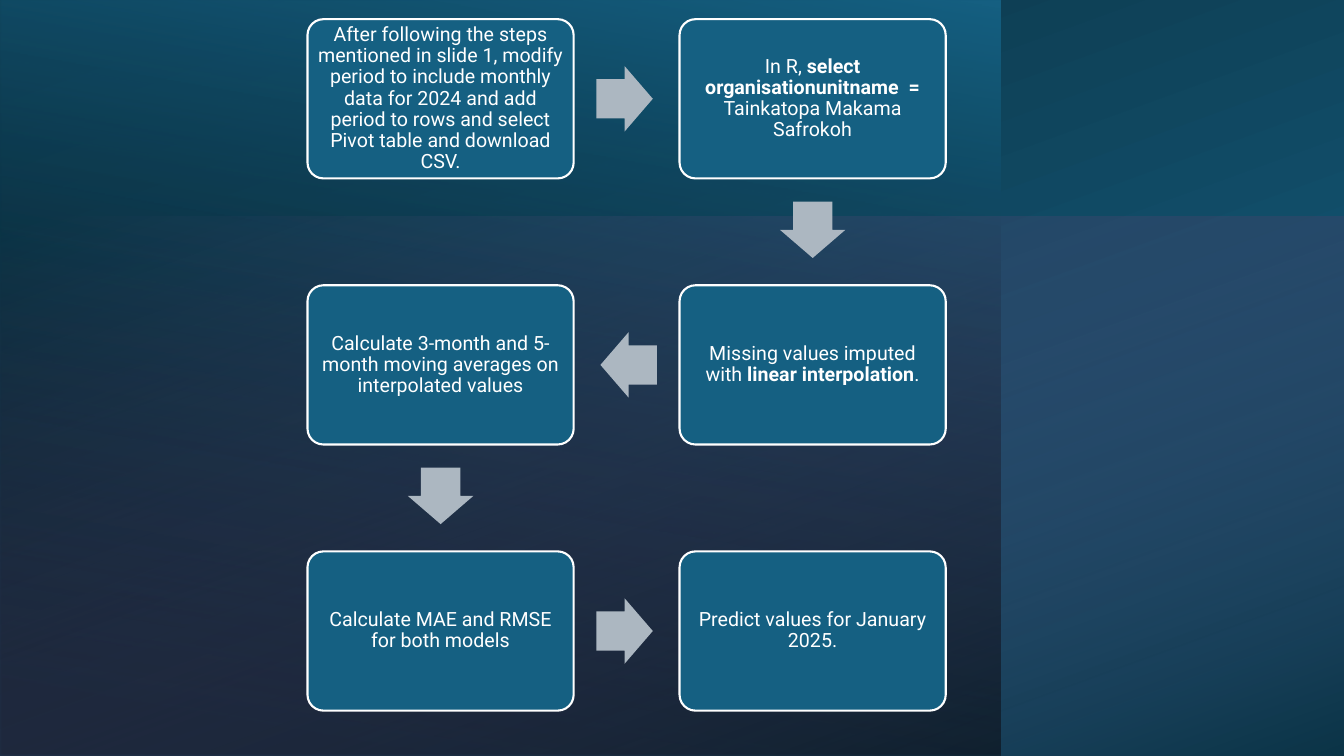
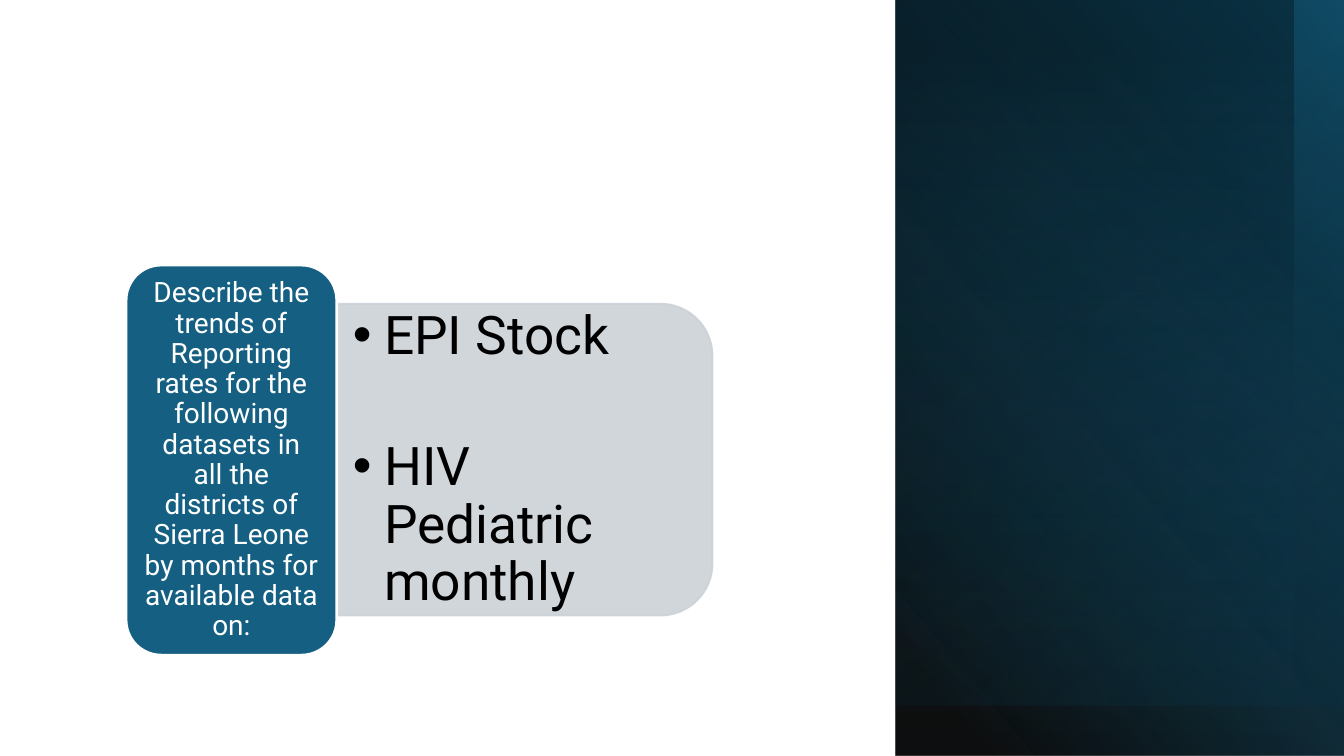
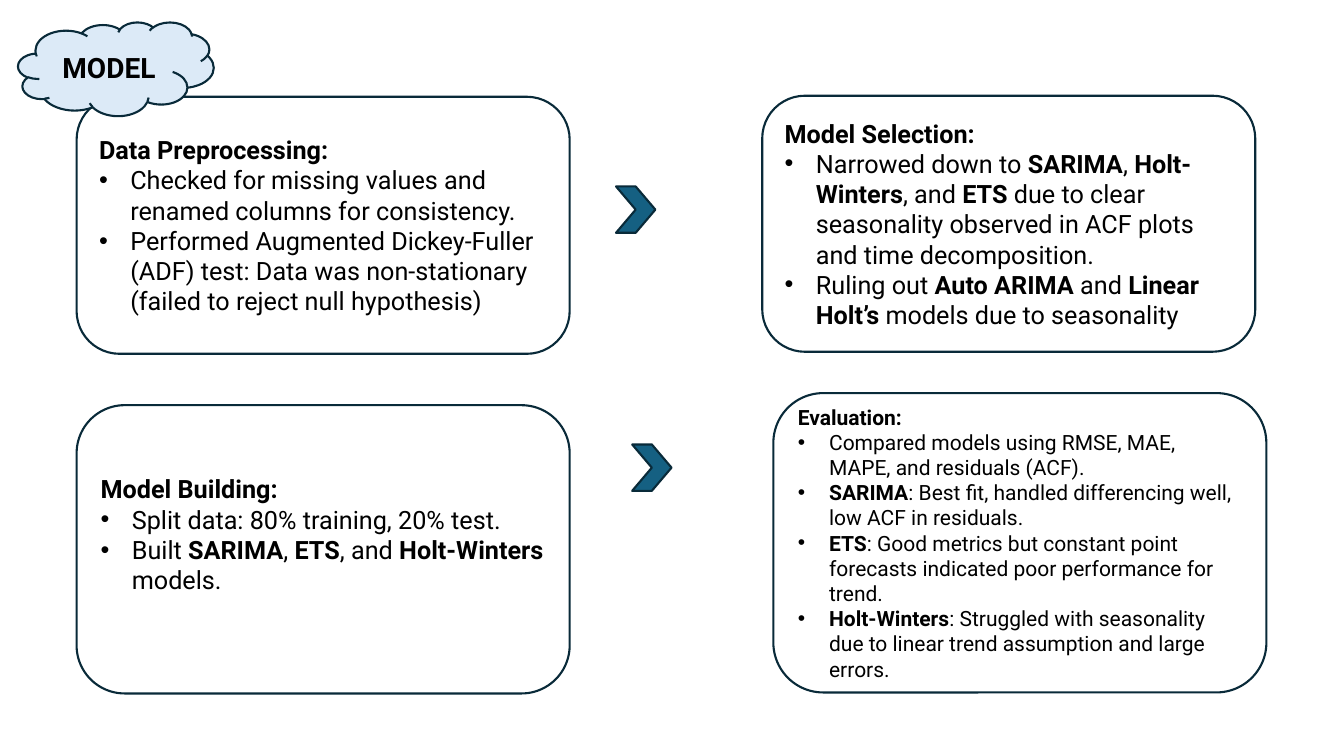
import math
from dataclasses import dataclass

import pptx
import pptx.dml.color
import pptx.enum.shapes
import pptx.enum.text
import pptx.oxml.ns
import pptx.util
from lxml import etree

RGBColor = pptx.dml.color.RGBColor
SHAPE = pptx.enum.shapes.MSO_SHAPE
ALIGN = pptx.enum.text.PP_ALIGN
Inches, Pt, qn = pptx.util.Inches, pptx.util.Pt, pptx.oxml.ns.qn

# Shared look
W, H = 13.33, 7.5
FONT = "Roboto"
NO_BREAK_SPACE = chr(160)
BLUE = RGBColor(0x15, 0x60, 0x82)
DEEP = RGBColor(0x0B, 0x30, 0x41)
NAVY = RGBColor(0x09, 0x2A, 0x39)
ORCHID = RGBColor(0xD8, 0x6E, 0xCC)
ARROW_GREY = RGBColor(0xAC, 0xB7, 0xC1)
PANEL_GREY = RGBColor(0xCC, 0xD2, 0xD8)
CLOUD_BLUE = RGBColor(0xDC, 0xEA, 0xF7)
WHITE = RGBColor(0xFF, 0xFF, 0xFF)
BLACK = RGBColor(0, 0, 0)


@dataclass
class Box:
    left: float
    top: float
    width: float
    height: float


@dataclass
class Stop:
    pos: int
    color: RGBColor
    alpha: int = 100


@dataclass
class Wash:
    """A background gradient, placed before it is turned and mirrored."""
    box: Box
    rotation: int
    angle: int
    stops: tuple[Stop, Stop]


@dataclass
class Card:
    box: Box
    heading: str
    bullets: tuple[str, ...]
    size: int = 18
    bottom: float = 0.05


def add_alpha(color_element, percent: int) -> None:
    etree.SubElement(color_element, qn("a:alpha")).set("val", str(percent * 1000))


def add_shape(s, kind, box: Box, fill=None, line=None, weight=1.5, rotation=0, adj=()):
    sp = s.shapes.add_shape(kind, *map(Inches, (box.left, box.top, box.width, box.height)))
    sp.shadow.inherit = False
    sp.rotation = rotation
    for i, value in enumerate(adj):
        sp.adjustments[i] = value
    if fill is not None:
        sp.fill.solid()
        sp.fill.fore_color.rgb = fill
    if line is None:
        sp.line.fill.background()
    else:
        sp.line.color.rgb = line
        sp.line.width = Pt(weight)
    return sp


def add_wash(s, wash: Wash) -> None:
    sp = add_shape(s, SHAPE.RECTANGLE, wash.box, rotation=wash.rotation)
    props = sp.element.spPr
    props.find(qn("a:xfrm")).set("flipH", "1")
    grad = etree.Element(qn("a:gradFill"))
    stops = etree.SubElement(grad, qn("a:gsLst"))
    for stop in wash.stops:
        gs = etree.SubElement(stops, qn("a:gs"), pos=str(stop.pos * 1000))
        color = etree.SubElement(gs, qn("a:srgbClr"), val=str(stop.color))
        if stop.alpha < 100:
            add_alpha(color, stop.alpha)
    etree.SubElement(grad, qn("a:lin"), ang=str(wash.angle * 60000), scaled="0")
    props.find(qn("a:prstGeom")).addnext(grad)


def write(sp, text="", bullets=(), size=18, color=BLACK, align=ALIGN.LEFT,
          spacing=None, gap=0, insets=(0.1, 0.05, 0.1, 0.05)) -> None:
    """Write a plain paragraph and bullets; ** switches bold on and off."""
    tf = sp.text_frame
    tf.word_wrap = True
    tf.vertical_anchor = pptx.enum.text.MSO_ANCHOR.MIDDLE
    tf.margin_left, tf.margin_top, tf.margin_right, tf.margin_bottom = map(Inches, insets)
    paragraphs = [(text, False)] if text else []
    paragraphs += [(bullet, True) for bullet in bullets]
    for i, (content, bulleted) in enumerate(paragraphs):
        p = tf.add_paragraph() if i else tf.paragraphs[0]
        if bulleted:
            props = p._p.get_or_add_pPr()
            props.set("marL", str(Inches(0.31)))
            props.set("indent", str(-Inches(0.31)))
            etree.SubElement(props, qn("a:buFont"), typeface="Arial")
            etree.SubElement(props, qn("a:buChar"), char="•")
        p.alignment = align
        if spacing:
            p.line_spacing = spacing
        if i and gap:
            p.space_before = Pt(gap)
        for j, part in enumerate(content.split("**")):
            if part:
                r = p.add_run()
                r.text = part
                r.font.name, r.font.size, r.font.bold = FONT, Pt(size), j % 2 == 1
                r.font.color.rgb = color


# Slide 1: steps winding through a grid of two columns and three rows
FORECAST_WASHES = (
    Wash(Box((W - H) / 2, (H - W) / 2, H, W), 270, 200, (Stop(8, BLUE), Stop(100, DEEP))),
    Wash(Box(0, 0, 9.92, H), 180, 80, (Stop(8, BLACK, 52), Stop(100, BLUE))),
    Wash(Box(3.99, -1.84, 5.35, W), 270, 20, (Stop(0, ORCHID, 0), Stop(100, BLACK, 46))),
)
STEPS = (
    (0, 0, "After following the steps mentioned in slide 1, modify period to include monthly "
           "data for 2024 and add period to rows and select Pivot table and download CSV."),
    (1, 0, "In R, **select organisationunitname  = **Tainkatopa Makama Safrokoh"),
    (1, 1, "Missing values imputed with **linear interpolation**."),
    (0, 1, "Calculate 3-month and 5-month moving averages on interpolated values"),
    (0, 2, "Calculate MAE and RMSE for both models"),
    (1, 2, "Predict values for January 2025."),
)
STEP_W, STEP_H = 2.64, 1.58
ARROW_W, ARROW_H = 0.56, 0.65
ARROW_SETBACK = 0.02


def step_box(col: int, row: int) -> Box:
    return Box(3.05 + 3.69 * col, 0.19 + 2.64 * row, STEP_W, STEP_H)


def add_step_arrow(s, start: Box, end: Box) -> None:
    dx, dy = end.left - start.left, end.top - start.top
    turn = math.atan2(dy, dx)
    x = start.left + (STEP_W + dx - ARROW_W) / 2 - ARROW_SETBACK * math.cos(turn)
    y = start.top + (STEP_H + dy - ARROW_H) / 2 - ARROW_SETBACK * math.sin(turn)
    add_shape(s, SHAPE.RIGHT_ARROW, Box(x, y, ARROW_W, ARROW_H), ARROW_GREY,
              rotation=round(math.degrees(turn)), adj=(0.6, 0.5))


def build_forecast_steps(s) -> None:
    for wash in FORECAST_WASHES:
        add_wash(s, wash)
    previous = None
    for col, row, text in STEPS:
        box = step_box(col, row)
        if previous:
            add_step_arrow(s, previous, box)
        sp = add_shape(s, SHAPE.ROUNDED_RECTANGLE, box, BLUE, WHITE, adj=(0.1,))
        write(sp, text, size=14, color=WHITE, align=ALIGN.CENTER, spacing=0.9, insets=(0.05,) * 4)
        previous = box


# Slide 2: task and its data sets beside a dark band
BAND_LEFT, BAND_W = 8.88, 4.48
BAND_WASHES = tuple(
    Wash(Box(BAND_LEFT, 0, width, height), 180, angle, stops)
    for width, height, angle, stops in (
        (BAND_W, H, 40, (Stop(8, BLACK, 94), Stop(100, BLUE))),
        (BAND_W, 7, 300, (Stop(31, DEEP, 0), Stop(100, DEEP, 26))),
        (4.45, 7, 50, (Stop(0, BLUE, 0), Stop(72, BLACK, 21))),
        (3.95, H, 90, (Stop(0, BLUE, 0), Stop(93, BLACK, 29))),
    )
)


def build_dataset_task(s) -> None:
    for wash in BAND_WASHES:
        add_wash(s, wash)

    # Panel with the data sets
    panel = add_shape(s, SHAPE.ROUND_2_SAME_RECTANGLE, Box(3.66, 2.7, 3.09, 3.72),
                      PANEL_GREY, PANEL_GREY, rotation=90)
    for color in panel.element.spPr.iter(qn("a:srgbClr")):
        add_alpha(color, 90)
    tb = s.shapes.add_textbox(*map(Inches, (3.34, 3.17, 3.57, 2.79)))
    write(tb, bullets=("EPI Stock", "HIV Pediatric monthly"), size=38, spacing=0.9, gap=53,
          insets=(0.16, 0.08, 0.16, 0.08))

    # Task
    task = add_shape(s, SHAPE.ROUNDED_RECTANGLE, Box(1.25, 2.63, 2.09, 3.87), BLUE, WHITE, 2)
    write(task, "Describe the trends of Reporting rates for the following datasets in "
                f"all{NO_BREAK_SPACE}the districts of Sierra Leone by months for available data on:",
          size=20, color=WHITE, align=ALIGN.CENTER, spacing=0.9, insets=(0.08, 0.04, 0.08, 0.04))


# Slide 3: four cards of the modelling work
CARD_W = 4.89
CARDS = (
    Card(Box(0.76, 0.96, CARD_W, 2.55), "Data Preprocessing:", (
        "Checked for missing values and renamed columns for consistency.",
        "Performed Augmented Dickey-Fuller (ADF) test: Data was non-stationary "
        "(failed to reject null hypothesis)")),
    Card(Box(7.56, 0.95, CARD_W, 2.54), "Model Selection:", (
        "Narrowed down to **SARIMA**, **Holt-Winters**, and **ETS** due to clear seasonality "
        "observed in ACF plots and time decomposition.",
        "Ruling out **Auto ARIMA** and **Linear Holt’s** models due to seasonality")),
    Card(Box(0.76, 4.02, CARD_W, 2.86), "Model Building:", (
        "Split data: 80% training, 20% test.",
        "Built **SARIMA**, **ETS**, and **Holt-Winters** models."), bottom=0.35),
    Card(Box(7.67, 3.9, CARD_W, 2.97), "Evaluation:", (
        "Compared models using RMSE, MAE, MAPE, and residuals (ACF).",
        "**SARIMA**: Best fit, handled differencing well, low ACF in residuals.",
        "**ETS**: Good metrics but constant point forecasts indicated poor performance for trend.",
        "**Holt-Winters**: Struggled with seasonality due to linear trend assumption "
        "and large errors."), size=15),
)
CHEVRONS = ((6.11, 1.85), (6.27, 4.41))


def build_model_cards(s) -> None:
    for left, top in CHEVRONS:
        add_shape(s, SHAPE.CHEVRON, Box(left, top, 0.39, 0.46), BLUE, NAVY)
    for card in CARDS:
        sp = add_shape(s, SHAPE.ROUNDED_RECTANGLE, card.box, WHITE, NAVY)
        write(sp, f"**{card.heading}**", card.bullets, size=card.size,
              insets=(0.1, 0.05, 0.1, card.bottom))
    cloud = add_shape(s, SHAPE.CLOUD, Box(0.18, 0.22, 1.94, 0.93), CLOUD_BLUE, NAVY)
    write(cloud, "**MODEL**", size=20, align=ALIGN.CENTER)


def main() -> None:
    prs = pptx.Presentation()
    prs.slide_width, prs.slide_height = Inches(W), Inches(H)
    for build in (build_forecast_steps, build_dataset_task, build_model_cards):
        build(prs.slides.add_slide(prs.slide_layouts[6]))
    prs.save("out.pptx")


if __name__ == "__main__":
    main()
